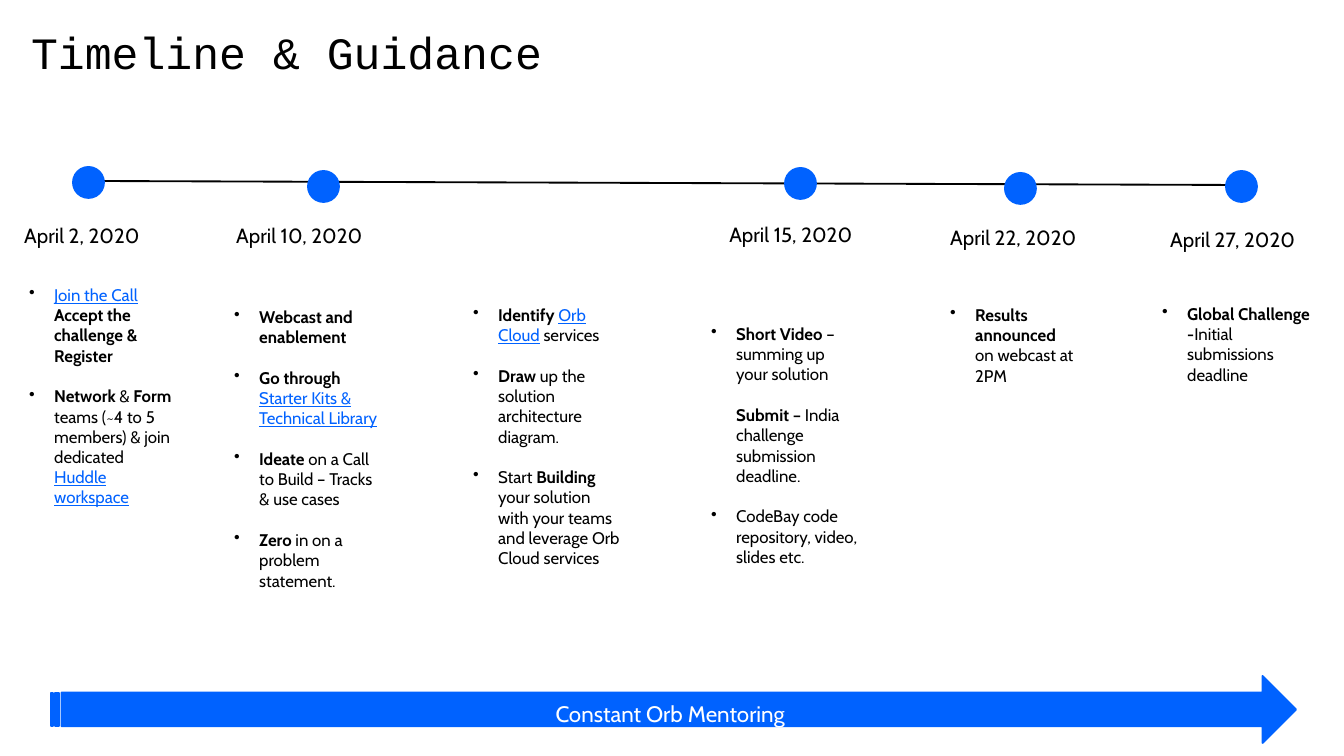
from lxml.etree import SubElement as Sub
from pptx import Presentation
from pptx.dml.color import RGBColor as Rgb
from pptx.enum.shapes import MSO_CONNECTOR as Conn, MSO_SHAPE as Kind
from pptx.enum.text import MSO_ANCHOR as Anchor, PP_ALIGN as Align
from pptx.oxml.ns import qn
from pptx.util import Emu, Pt

HUE = {"blue": "0062FF", "black": "000000", "white": "FFFFFF"}
PX = 914400 / 134.4
DOT = 31
INDENT = 25

DATES = [
    ("April 2, 2020", (73, 167), (11, 216)),
    ("April 10, 2020", (308, 171), (223, 216)),
    ("April 15, 2020", (785, 168), (716, 215)),
    ("April 22, 2020", (1005, 173), (937, 218)),
    ("April 27, 2020", (1226, 171), (1157, 220)),
]

B, U, N = "bold", "link", "plain"
STEPS = [
    (16, 278, 337, [
        ("•", [("Join the Call", U), ("\n", N), ("Accept the challenge & Register", B)]),
        ("•", [("Network", B), (" &", N), (" Form", B),
               (" teams (~4 to 5 members) & join dedicated ", N), ("Huddle workspace", U)]),
    ]),
    (221, 300, 397, [
        ("•", [("Webcast and enablement", B)]),
        ("•", [("Go through ", B), ("Starter Kits & Technical Library", U)]),
        ("•", [("Ideate", B), (" on a Call to Build – Tracks & use cases", N)]),
        ("•", [("Zero", B), (" in on a problem statement.", N)]),
    ]),
    (460, 298, 357, [
        ("•", [("Identify ", B), ("Orb Cloud", U), (" services", N)]),
        ("•", [("Draw", B), (" up the solution architecture diagram.", N)]),
        ("•", [("Start ", N), ("Building", B),
               (" your solution with your teams and leverage Orb Cloud services", N)]),
    ]),
    (698, 317, 337, [
        ("•", [("Short Video", B), (" – summing up your solution", N)]),
        ("", [("Submit – ", B), ("India challenge submission deadline.", N)]),
        ("•", [("CodeBay code repository, video, slides etc.", N)]),
    ]),
    (937, 298, 153, [
        ("•", [("Results announced", B), ("\n", N), ("on webcast at 2PM", N)]),
    ]),
    (1149, 297, 136, [
        ("•", [("Global Challenge -", B), ("Initial submissions deadline", N)]),
    ]),
]


def px(*vals):
    return [Emu(round(v * PX)) for v in vals]


def tint(name):
    return Rgb.from_string(HUE[name])


def style(run, size, color="black", face="Cabin"):
    run.font.size = Pt(size)
    run.font.name = face
    run.font.color.rgb = tint(color)


def box(x, y, w, h):
    frame = slide.shapes.add_textbox(*px(x, y, w, h)).text_frame
    frame.word_wrap = True
    return frame


def pad(frame, gap):
    frame.margin_left = frame.margin_right = gap
    frame.margin_top = frame.margin_bottom = gap


def label(frame, text, size, color="black", face="Cabin"):
    para = frame.paragraphs[0]
    para.text = text
    style(para.runs[0], size, color, face)
    return para


def solid(kind, x, y, w, h):
    shape = slide.shapes.add_shape(kind, *px(x, y, w, h))
    shape.shadow.inherit = False
    shape.fill.solid()
    shape.fill.fore_color.rgb = tint("blue")
    shape.line.color.rgb = tint("blue")
    shape.line.width = Pt(1)
    return shape


def bullet(para, mark):
    props = para._p.get_or_add_pPr()
    edge = px(INDENT)[0]
    props.set("marL", str(edge))
    props.set("indent", str(-edge if mark else 0))
    if mark:
        color = Sub(props, qn("a:buClr"))
        Sub(color, qn("a:srgbClr"), val=HUE["black"])
        Sub(props, qn("a:buChar"), char=mark)


def step(x, y, h, items):
    frame = box(x, y, 175, h)
    for i, (mark, parts) in enumerate(items):
        para = frame.add_paragraph() if i else frame.paragraphs[0]
        bullet(para, mark)
        if i:
            para.space_before = Pt(11)
        para.font.size = Pt(9)
        for text, look in parts:
            if text == "\n":
                para.add_line_break()
                continue
            run = para.add_run()
            run.text = text
            style(run, 9, "blue" if look == U else "black")
            run.font.bold = look == B
            run.font.underline = look == U


deck = Presentation()
deck.slide_width, deck.slide_height = px(1344, 756)
slide = deck.slides.add_slide(deck.slide_layouts[6])

line = slide.shapes.add_connector(Conn.STRAIGHT, *px(87, 181, 1236, 185))
line.line.color.rgb = tint("black")
line.line.width = Pt(1)
Sub(line._element.spPr, qn("a:effectLst"))

for date, dot, spot in DATES:
    solid(Kind.OVAL, *dot, DOT, DOT)
    label(box(*spot, 168, 39), date, 11)

for item in STEPS:
    step(*item)

arrow = solid(Kind.STRIPED_RIGHT_ARROW, 51, 676, 1245, 67).text_frame
arrow.vertical_anchor = Anchor.TOP
arrow.word_wrap = True
pad(arrow, px(5)[0])
note = label(arrow, "Constant Orb Mentoring", 12, "white")
note.alignment = Align.CENTER
note.line_spacing = Pt(16)
note.space_after = Pt(6)

title = box(31, 26, 609, 118)
pad(title, 0)
head = label(title, "Timeline & Guidance", 24, face="Courier New")
head.line_spacing = Pt(28)
head.space_after = Pt(18)

deck.save("out.pptx")
